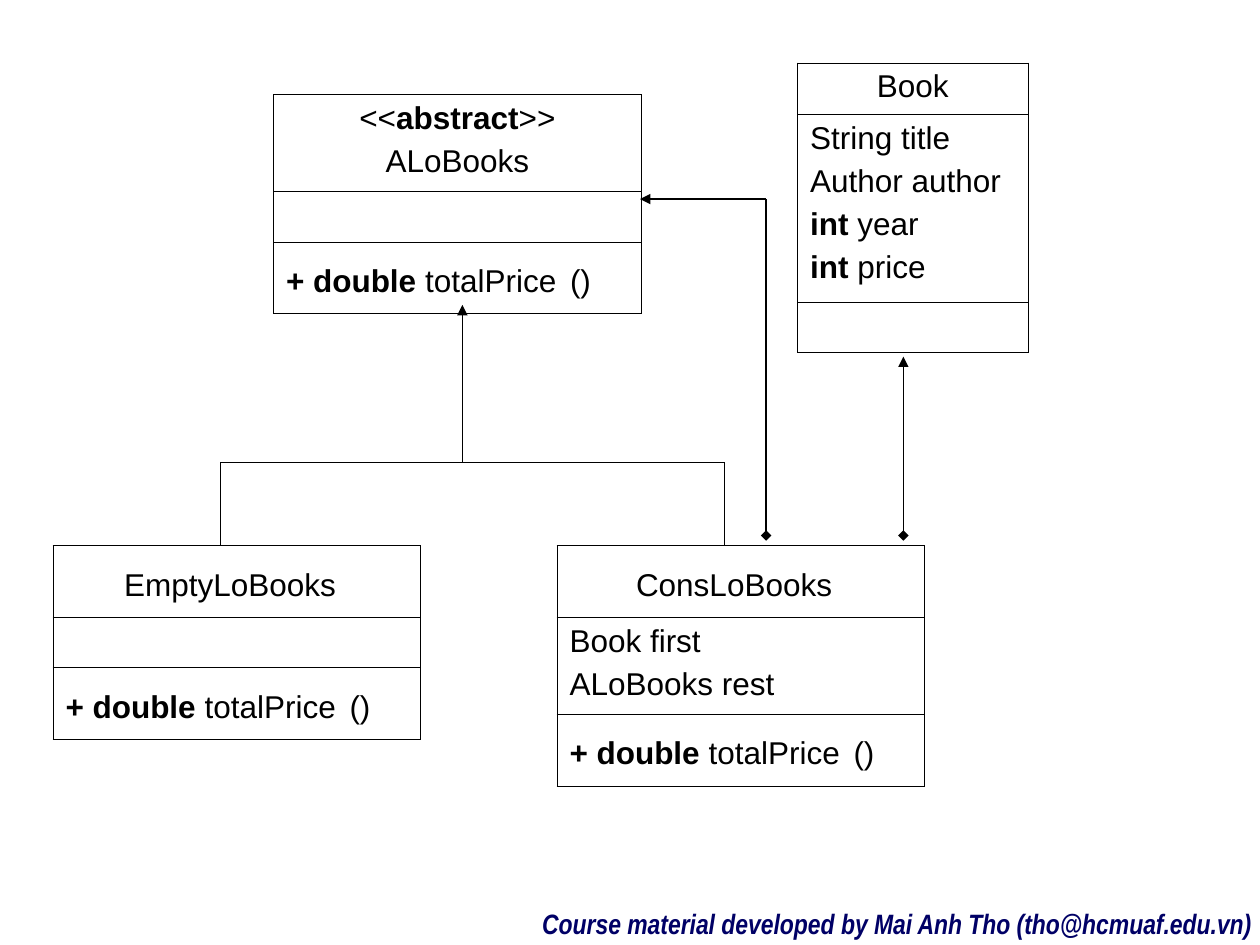
from typing import NamedTuple

from lxml import etree
from pptx import Presentation
from pptx import util as u
from pptx.dml.color import RGBColor
from pptx.enum import shapes, text
from pptx.oxml import ns

INK = "000000"
NAVY = "000066"
TEXT_SIZE = 18
GAP_SIZE = 28


class Span(NamedTuple):
    words: str
    bold: bool = False
    size: float = TEXT_SIZE


class Row(NamedTuple):
    height: float
    lines: tuple[tuple[Span, ...], ...] = ()
    centered: bool = False


class ClassBox(NamedTuple):
    left: float
    top: float
    width: float
    rows: tuple[Row, ...]


class Link(NamedTuple):
    start: tuple[float, float]
    end: tuple[float, float]
    head: str = ""
    tail: str = ""


def color(value: str) -> RGBColor:
    return RGBColor.from_string(value)


def add_child(parent, tag: str, **attributes: str):
    return etree.SubElement(parent, ns.qn(tag), attributes)


def border_cell(cell, width: float = 0.45) -> None:
    properties = cell._tc.get_or_add_tcPr()
    for position, side in enumerate(("a:lnL", "a:lnR", "a:lnT", "a:lnB")):
        line = etree.Element(ns.qn(side), {"w": str(int(u.Pt(width)))})
        add_child(add_child(line, "a:solidFill"), "a:srgbClr", val=INK)
        properties.insert(position, line)


def fill_cell(cell, row: Row) -> None:
    cell.fill.background()
    border_cell(cell)
    frame = cell.text_frame
    frame.paragraphs[0].font.size = u.Pt(TEXT_SIZE)
    for index, spans in enumerate(row.lines):
        para = frame.add_paragraph() if index else frame.paragraphs[0]
        if index:
            para.space_before = u.Pt(4.5)
        para.alignment = text.PP_ALIGN.CENTER if row.centered else text.PP_ALIGN.LEFT
        for span in spans:
            run = para.add_run()
            run.text = span.words
            run.font.name = "Arial"
            run.font.size = u.Pt(span.size)
            run.font.bold = span.bold
            run.font.color.rgb = color(INK)


def draw_class(page, box: ClassBox) -> None:
    height = sum(row.height for row in box.rows)
    table = page.shapes.add_table(
        len(box.rows), 1, u.Inches(box.left), u.Inches(box.top),
        u.Inches(box.width), u.Inches(height)).table
    table.first_row = False
    table.horz_banding = False
    for index, row in enumerate(box.rows):
        table.rows[index].height = u.Inches(row.height)
        fill_cell(table.cell(index, 0), row)


def draw_link(page, link: Link) -> None:
    connector = page.shapes.add_connector(
        shapes.MSO_CONNECTOR.STRAIGHT,
        *(u.Inches(value) for value in link.start + link.end))
    connector.line.color.rgb = color(INK)
    connector.line.width = u.Pt(0.75)
    line = connector.line._get_or_add_ln()
    for tag, kind in (("a:headEnd", link.head), ("a:tailEnd", link.tail)):
        if kind:
            add_child(line, tag, type=kind)
    add_child(connector._element.spPr, "a:effectLst")


def draw_credit(page) -> None:
    box = page.shapes.add_textbox(
        u.Inches(4.2), u.Inches(7.14), u.Inches(5.84), u.Inches(0.37))
    frame = box.text_frame
    frame.word_wrap = False
    frame.vertical_anchor = text.MSO_ANCHOR.MIDDLE
    para = frame.paragraphs[0]
    para.text = "Course material developed by Mai Anh Tho (tho@hcmuaf.edu.vn)"
    para.alignment = text.PP_ALIGN.CENTER
    para.font.name = "Arial Narrow"
    para.font.size = u.Pt(16)
    para.font.bold = True
    para.font.italic = True
    para.font.color.rgb = color(NAVY)


# Rows shared by the classes; the larger space sets the row's line height
GAP = Span(" ", size=GAP_SIZE)
EMPTY = Row(0.4)
TOTAL_PRICE = Row(0.57, (
    (Span("+ double", True), Span(" totalPrice"), GAP, Span("()")),))


def list_name(name: str) -> Row:
    return Row(0.57, ((Span(name), GAP),), centered=True)


CLASSES = (
    ClassBox(2.17, 0.75, 2.92, (
        Row(0.77, ((Span("<<"), Span("abstract", True), Span(">>")),
                   (Span("ALoBooks"),)), centered=True),
        EMPTY, TOTAL_PRICE)),
    ClassBox(0.42, 4.33, 2.92, (
        list_name("EmptyLoBooks"), EMPTY, TOTAL_PRICE)),
    ClassBox(4.42, 4.33, 2.92, (
        list_name("ConsLoBooks"),
        Row(0.77, ((Span("Book first"),), (Span("ALoBooks rest"),))),
        TOTAL_PRICE)),
    ClassBox(6.33, 0.5, 1.83, (
        Row(0.41, ((Span("Book"),),), centered=True),
        Row(1.49, ((Span("String title"),), (Span("Author author"),),
                   (Span("int", True), Span(" year")),
                   (Span("int", True), Span(" price")))),
        EMPTY)),
)

LINKS = (
    # Inheritance tree
    Link((1.75, 3.67), (1.75, 4.33)),
    Link((5.75, 3.67), (5.75, 4.33)),
    Link((1.75, 3.67), (5.75, 3.67)),
    Link((3.67, 3.67), (3.67, 2.42), tail="triangle"),
    # Containment
    Link((6.08, 1.58), (6.08, 4.25), tail="diamond"),
    Link((6.08, 1.58), (5.08, 1.58), tail="triangle"),
    Link((7.17, 4.25), (7.17, 2.83), head="diamond", tail="triangle"),
)


def main() -> None:
    deck = Presentation()
    deck.slide_width = u.Inches(10)
    deck.slide_height = u.Inches(7.5)
    page = deck.slides.add_slide(deck.slide_layouts[6])
    draw_credit(page)
    for box in CLASSES:
        draw_class(page, box)
    for link in LINKS:
        draw_link(page, link)
    deck.save("out.pptx")


if __name__ == "__main__":
    main()
